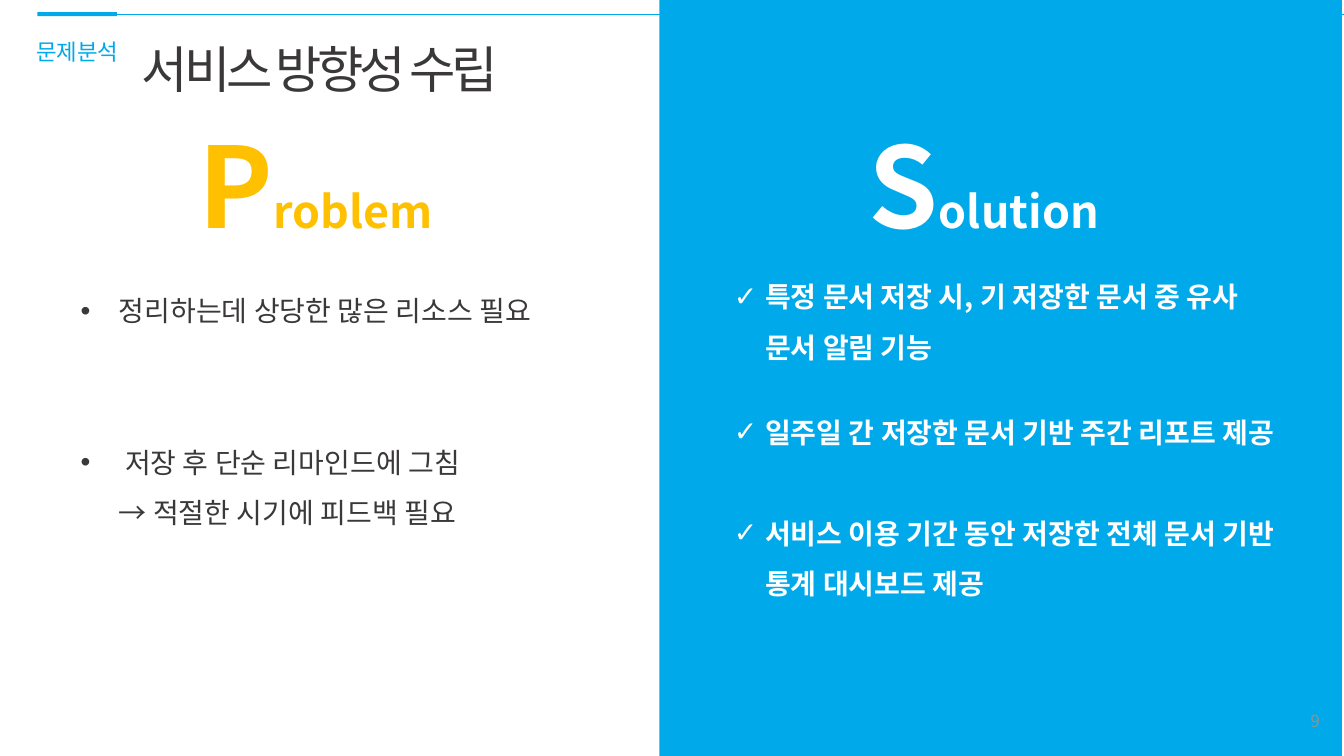
"""Build the problem and solution slide on the service direction."""
from lxml.etree import SubElement
from pptx import Presentation
from pptx.dml.color import RGBColor
from pptx.enum.shapes import MSO_CONNECTOR, MSO_SHAPE
from pptx.enum.text import MSO_ANCHOR, MSO_AUTO_SIZE, PP_ALIGN
from pptx.oxml.ns import qn
from pptx.util import Inches, Pt

FONT = "Noto Sans CJK KR"
COLORS = {"blue": "00A9EA", "yellow": "FFC000", "white": "FFFFFF", "dark": "3A3838", "gray": "919191"}

PANEL = (6.54, 0, 6.77, 7.5)
ACCENT = (0.37, 0.12, 0.79, 0.04)
SECTION = ("문제분석", (0.26, 0.33, 1.1, 0.37), 16, "blue")
TITLE = ("서비스 방향성 수립", (1.31, 0.33, 4.17, 0.71), 36, "dark")
PAGE_NUMBER = ("9", (10.19, 6.95, 3, 0.4), 12, "gray")
HEADINGS = [
    ("P", "roblem", (1.87, 1.11, 2.75, 1.45), "yellow"),
    ("S", "olution", (8.52, 1.11, 2.69, 1.45), "white"),
]
LISTS = [
    {
        "box": (0.7, 2.7, 5.52, 3.57), "color": "dark", "bold": False, "bullet": "•", "indent": 0.38,
        "items": [
            ("정리하는데 상당한 많은 리소스 필요", 0),
            (" 저장 후 단순 리마인드에 그침\v→ 적절한 시기에 피드백 필요", 72),
        ],
    },
    {
        "box": (7.18, 2.56, 5.72, 4.1), "color": "white", "bold": True, "bullet": "✓", "indent": 0.31,
        "items": [
            ("특정 문서 저장 시, 기 저장한 문서 중 유사 문서 알림 기능", 0),
            ("일주일 간 저장한 문서 기반 주간 리포트 제공", 25),
            ("서비스 이용 기간 동안 저장한 전체 문서 기반 통계 대시보드 제공", 36),
        ],
    },
]


def rgb(name):
    return RGBColor.from_string(COLORS[name])


def set_font(font, size, color, bold=False):
    font.size = Pt(size)
    font.bold = bold
    font.color.rgb = rgb(color)
    font.name = FONT
    SubElement(font._rPr, qn("a:ea"), typeface=FONT)


def add_rectangle(slide, box):
    shape = slide.shapes.add_shape(MSO_SHAPE.RECTANGLE, *map(Inches, box))
    shape.shadow.inherit = False
    shape.fill.solid()
    shape.fill.fore_color.rgb = rgb("blue")
    shape.line.fill.background()
    return shape


def add_frame(slide, box, wrap=False):
    frame = slide.shapes.add_textbox(*map(Inches, box)).text_frame
    frame.word_wrap = wrap
    frame.auto_size = MSO_AUTO_SIZE.SHAPE_TO_FIT_TEXT
    return frame


def add_label(slide, text, box, size, color, wrap=False):
    frame = add_frame(slide, box, wrap)
    paragraph = frame.paragraphs[0]
    paragraph.text = text
    set_font(paragraph.font, size, color)
    return frame


def add_heading(slide, initial, rest, box, color):
    paragraph = add_frame(slide, box).paragraphs[0]
    set_font(paragraph.font, 32, color, True)
    for text, size in ((initial, 80), (rest, 32)):
        run = paragraph.add_run()
        run.text = text
        run.font.size = Pt(size)


def add_list(slide, content):
    frame = add_frame(slide, content["box"], True)
    frame.auto_size = MSO_AUTO_SIZE.NONE
    indent = Inches(content["indent"])
    for index, (text, space) in enumerate(content["items"]):
        paragraph = frame.add_paragraph() if index else frame.paragraphs[0]
        paragraph.text = text
        paragraph.line_spacing = 1.5
        paragraph.space_before = Pt(space)
        properties = paragraph._p.get_or_add_pPr()
        properties.set("marL", str(indent))
        properties.set("indent", str(-indent))
        SubElement(properties, qn("a:buFont"), typeface="Arial")
        SubElement(properties, qn("a:buChar"), char=content["bullet"])
        set_font(paragraph.font, 20, content["color"], content["bold"])


def main():
    presentation = Presentation()
    presentation.slide_width, presentation.slide_height = Inches(13.33), Inches(7.5)
    slide = presentation.slides.add_slide(presentation.slide_layouts[6])

    add_rectangle(slide, PANEL)
    accent = add_rectangle(slide, ACCENT)
    rule = slide.shapes.add_connector(
        MSO_CONNECTOR.STRAIGHT, Inches(1.16), Inches(0.14), Inches(13.33), Inches(0.14))
    rule.begin_connect(accent, 3)
    rule.line.color.rgb = rgb("blue")
    rule.line.width = Pt(0.5)
    SubElement(rule._element.spPr, qn("a:effectLst"))

    add_label(slide, *SECTION)
    title = add_label(slide, *TITLE).paragraphs[0]
    title.runs[0].font._rPr.set("spc", "-300")
    number = add_label(slide, *PAGE_NUMBER, wrap=True)
    number.auto_size = MSO_AUTO_SIZE.NONE
    number.vertical_anchor = MSO_ANCHOR.MIDDLE
    number.paragraphs[0].alignment = PP_ALIGN.RIGHT

    for heading in HEADINGS:
        add_heading(slide, *heading)
    for content in LISTS:
        add_list(slide, content)
    presentation.save("out.pptx")


if __name__ == "__main__":
    main()
